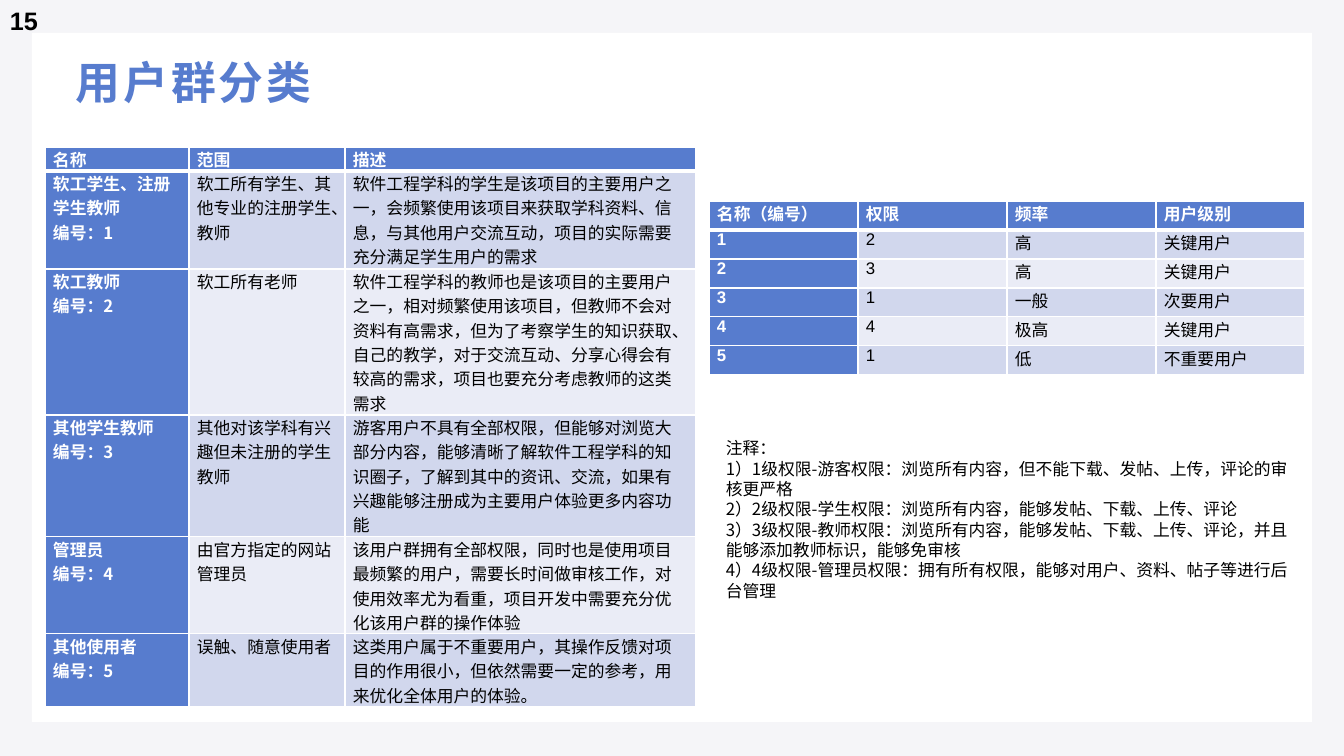
from pptx import Presentation
from pptx import util as u
from pptx.dml.color import RGBColor
from pptx.enum import shapes, text
from pptx.oxml.ns import qn
from lxml import etree

# Content
TITLE = "用户群分类"
PAGE = "15"
GROUPS = [
    ("名称", "范围", "描述"),
    ("软工学生、注册学生教师\n编号：1", "软工所有学生、其他专业的注册学生、教师",
     "软件工程学科的学生是该项目的主要用户之一，会频繁使用该项目来获取学科资料、信息，与其他用户交流互动，项目的实际需要充分满足学生用户的需求"),
    ("软工教师\n编号：2", "软工所有老师",
     "软件工程学科的教师也是该项目的主要用户之一，相对频繁使用该项目，但教师不会对资料有高需求，但为了考察学生的知识获取、自己的教学，对于交流互动、分享心得会有较高的需求，项目也要充分考虑教师的这类需求"),
    ("其他学生教师\n编号：3", "其他对该学科有兴趣但未注册的学生教师",
     "游客用户不具有全部权限，但能够对浏览大部分内容，能够清晰了解软件工程学科的知识圈子，了解到其中的资讯、交流，如果有兴趣能够注册成为主要用户体验更多内容功能"),
    ("管理员\n编号：4", "由官方指定的网站管理员",
     "该用户群拥有全部权限，同时也是使用项目最频繁的用户，需要长时间做审核工作，对使用效率尤为看重，项目开发中需要充分优化该用户群的操作体验"),
    ("其他使用者\n编号：5", "误触、随意使用者",
     "这类用户属于不重要用户，其操作反馈对项目的作用很小，但依然需要一定的参考，用来优化全体用户的体验。"),
]
LEVELS = [
    ("名称（编号）", "权限", "频率", "用户级别"),
    ("1", "2", "高", "关键用户"),
    ("2", "3", "高", "关键用户"),
    ("3", "1", "一般", "次要用户"),
    ("4", "4", "极高", "关键用户"),
    ("5", "1", "低", "不重要用户"),
]
NOTES = [
    "注释：",
    "1）1级权限-游客权限：浏览所有内容，但不能下载、发帖、上传，评论的审核更严格",
    "2）2级权限-学生权限：浏览所有内容，能够发帖、下载、上传、评论",
    "3）3级权限-教师权限：浏览所有内容，能够发帖、下载、上传、评论，并且能够添加教师标识，能够免审核",
    "4）4级权限-管理员权限：拥有所有权限，能够对用户、资料、帖子等进行后台管理",
]
BLUE, WHITE, BLACK, GRAY = "577CCE", "FFFFFF", "000000", "F5F5F8"
BANDS = ["EAECF6", "D1D7ED"]
CJK, LATIN = "Noto Sans CJK SC", "Arial"


def px(n):
    return u.Emu(round(n * 914400 / 100.8))


def rgb(code):
    return RGBColor.from_string(code)


def style(frame, size, color, face, bold=False):
    for para in frame.paragraphs:
        for run in para.runs:
            font = run.font
            font.size, font.bold, font.name = u.Pt(size), bold, face
            font.color.rgb = rgb(color)
            east = etree.SubElement(run._r.get_or_add_rPr(), qn("a:ea"))
            east.set("typeface", CJK)


def label(box, words, size, color, face, bold=False):
    frame = slide.shapes.add_textbox(*map(px, box)).text_frame
    frame.word_wrap = True
    frame.text = words
    style(frame, size, color, face, bold)
    return frame


def border(cell, row):
    props = cell._tc.get_or_add_tcPr()
    heavy = {0: "B", 1: "T"}.get(row)  # rule under the header
    for i, side in enumerate("LRTB"):
        line = etree.Element(qn("a:ln" + side), w=str(u.Pt(3 if side == heavy else 1)))
        fill = etree.SubElement(line, qn("a:solidFill"))
        etree.SubElement(fill, qn("a:srgbClr"), val=WHITE)
        props.insert(i, line)


def grid(left, top, cols, rows, data, face):
    box = map(px, (left, top, sum(cols), sum(rows)))
    table = slide.shapes.add_table(len(rows), len(cols), *box).table
    for col, width in zip(table.columns, cols):
        col.width = px(width)
    for r, (height, line) in enumerate(zip(rows, data)):
        table.rows[r].height = px(height)
        for c, words in enumerate(line):
            cell = table.cell(r, c)
            head = r == 0 or c == 0
            cell.text = words
            cell.margin_left = cell.margin_right = px(8)
            cell.margin_top = cell.margin_bottom = 0
            cell.fill.solid()
            cell.fill.fore_color.rgb = rgb(BLUE if head else BANDS[r % 2])
            style(cell.text_frame, 12, WHITE if head else BLACK, face, head)
            border(cell, r)


# Slide and white panel
deck = Presentation()
deck.slide_width, deck.slide_height = px(1344), px(756)
slide = deck.slides.add_slide(deck.slide_layouts[6])
slide.background.fill.solid()
slide.background.fill.fore_color.rgb = rgb(GRAY)
panel = slide.shapes.add_shape(shapes.MSO_SHAPE.RECTANGLE, *map(px, (32, 33, 1280, 689)))
panel.shadow.inherit = False
panel.fill.solid()
panel.fill.fore_color.rgb = rgb(WHITE)
panel.line.fill.background()

# Title
title = label((65, 42, 1061, 80), TITLE, 32, BLUE, CJK, True)
title.vertical_anchor = text.MSO_ANCHOR.MIDDLE
title.margin_left, title.margin_right = px(11), px(8)
title.margin_top = title.margin_bottom = px(4)
title.paragraphs[0].runs[0]._r.get_or_add_rPr().set("spc", "200")

# Tables
grid(45, 147, [144, 156, 351], [24, 98, 146, 122, 97, 73], GROUPS, CJK)
grid(709, 201, [149] * 4, [29] * 6, LEVELS, LATIN)

# Notes and page number
notes = label((716, 433, 589, 173), "\n".join(NOTES), 12, BLACK, CJK)
for para in notes.paragraphs:
    para.line_spacing = u.Pt(14.5)
label((0, 0, 88, 40), PAGE, 18, BLACK, LATIN, True)

deck.save("out.pptx")
